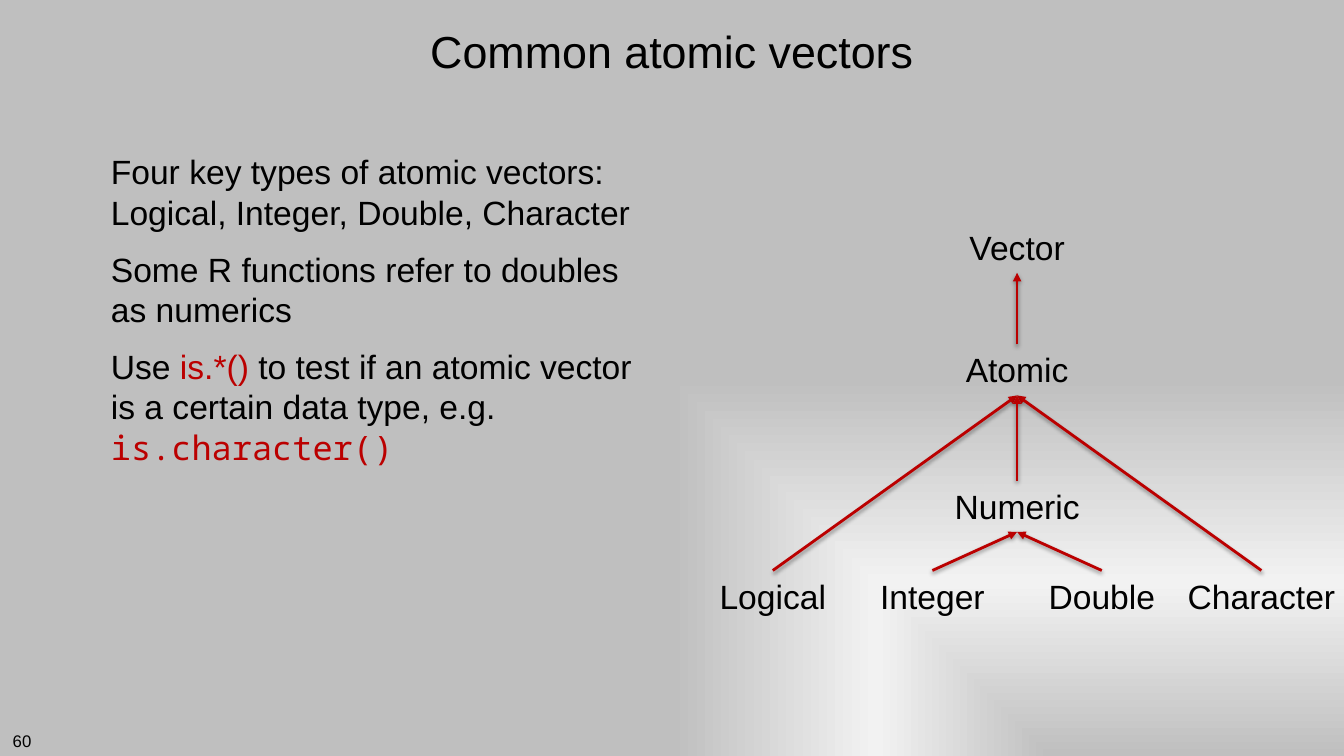
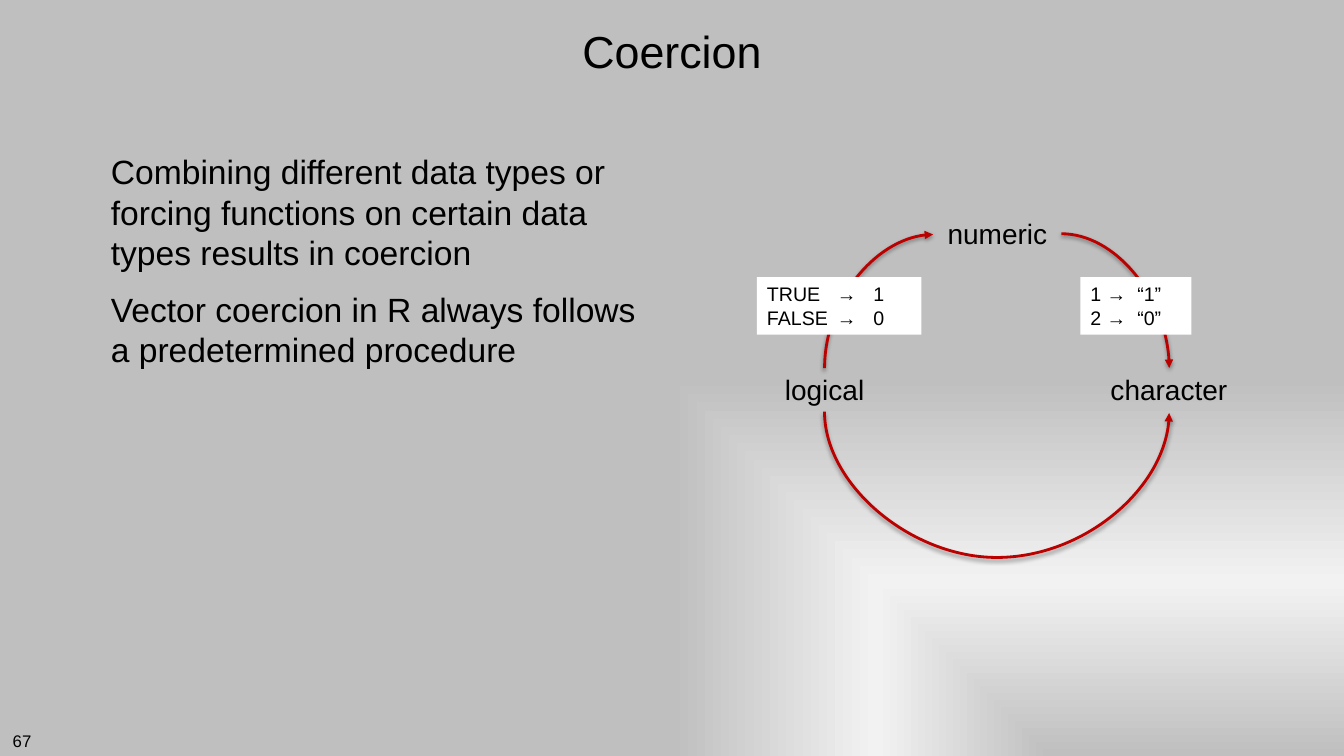
from lxml import etree
from pptx import Presentation
from pptx.dml.color import RGBColor
from pptx.enum.shapes import MSO_CONNECTOR, MSO_SHAPE
from pptx.enum.text import MSO_ANCHOR, MSO_AUTO_SIZE, PP_ALIGN
from pptx.oxml import parse_xml
from pptx.oxml.ns import nsdecls, qn
from pptx.util import Pt

STRAIGHT, CURVE = MSO_CONNECTOR.STRAIGHT, MSO_CONNECTOR.CURVE
RECTANGLE = MSO_SHAPE.RECTANGLE
TOP, MIDDLE = MSO_ANCHOR.TOP, MSO_ANCHOR.MIDDLE
NO_AUTOFIT = MSO_AUTO_SIZE.NONE
LEFT, CENTER, RIGHT = PP_ALIGN.LEFT, PP_ALIGN.CENTER, PP_ALIGN.RIGHT

COLORS = {"text": "000000", "accent": "BB0000", "box": "FFFFFF",
          "edge": "BFBFBF", "glow": "F2F2F2", "shadow": "000000"}
TEXT_FONT, CODE_FONT = "Arial", "Noto Sans Mono"


def format_text(text_frame, size, alignment):
    for paragraph in text_frame.paragraphs:
        paragraph.alignment = alignment
        for run in paragraph.runs:
            run.font.size = Pt(size)
            run.font.name = TEXT_FONT
            run.font.color.rgb = RGBColor.from_string(COLORS["text"])


def add_arrow(slide, kind, start, end):
    """Add a red connector with a soft shadow and an arrowhead at its end."""
    arrow = slide.shapes.add_connector(kind, *map(Pt, start + end))
    arrow.line.color.rgb = RGBColor.from_string(COLORS["accent"])
    arrow.line.width = Pt(2)
    properties = arrow.element.spPr
    etree.SubElement(properties.find(qn("a:ln")), qn("a:tailEnd"), type="triangle")
    properties.append(parse_xml(
        f'<a:effectLst {nsdecls("a")}><a:outerShdw blurRad="{Pt(3.1)}" dist="{Pt(1.6)}" '
        f'dir="5400000" rotWithShape="0"><a:srgbClr val="{COLORS["shadow"]}">'
        '<a:alpha val="38000"/></a:srgbClr></a:outerShdw></a:effectLst>'))
    return arrow


presentation = Presentation()
presentation.slide_width, presentation.slide_height = Pt(960), Pt(540)

# Shared background: a gradient spreading from the lower right corner
master = presentation.slide_master
master.background.fill.solid()
background = master.element.find(".//" + qn("p:bgPr"))
stops = "".join(
    f'<a:gs pos="{position * 1000}"><a:srgbClr val="{COLORS[name]}"/></a:gs>'
    for position, name in ((0, "edge"), (46, "glow"), (100, "edge")))
background.replace(background[0], parse_xml(
    f'<a:gradFill {nsdecls("a")} rotWithShape="1"><a:gsLst>{stops}</a:gsLst>'
    '<a:path path="rect"><a:fillToRect l="100000" t="100000"/></a:path></a:gradFill>'))

# Shared places of title and body
layout = presentation.slide_layouts[1]
for placeholder, place in zip(layout.placeholders,
                              ((72, 0, 816, 72), (62, 100.8, 403, 381.6))):
    (placeholder.left, placeholder.top,
     placeholder.width, placeholder.height) = map(Pt, place)

# Each body paragraph is a list of (text, colour, font) runs
CONTENT = [
    ("Common atomic vectors", "60", [
        [("Four key types of atomic vectors: Logical, Integer, Double, Character",
          "text", TEXT_FONT)],
        [("Some R functions refer to doubles as numerics", "text", TEXT_FONT)],
        [("Use ", "text", TEXT_FONT),
         ("is.*() ", "accent", TEXT_FONT),
         ("to test if an atomic vector is a certain data type, e.g. ", "text", TEXT_FONT),
         ("is.character()", "accent", CODE_FONT)],
    ]),
    ("Coercion", "67", [
        [("Combining different data types or forcing functions on certain data types "
          "results in coercion", "text", TEXT_FONT)],
        [("Vector coercion in R always follows a predetermined procedure",
          "text", TEXT_FONT)],
    ]),
]

# Each label is (text, centre, top, width)
TYPE_TOPS = {"Vector": (726.5, 158.4), "Atomic": (726.5, 246), "Numeric": (726.5, 343.5),
             "Logical": (552, 407.5), "Integer": (666, 407.5),
             "Double": (787, 407.5), "Character": (901, 407.5)}
LABEL_HEIGHT = 36.5
DIAGRAM_LABELS = [
    (24, LABEL_HEIGHT, [(name, *place, 121) for name, place in TYPE_TOPS.items()]),
    (20, 31.5, [("numeric", 712.5, 151.2, 91.5), ("character", 835, 262.8, 126),
                ("logical", 589, 262.8, 126)]),
]

for (title, number, body), (size, height, labels) in zip(CONTENT, DIAGRAM_LABELS):
    slide = presentation.slides.add_slide(layout)
    title_shape, body_shape = slide.placeholders
    title_shape.text_frame.text = title
    format_text(title_shape.text_frame, 32, CENTER)
    for shape, anchor in ((title_shape, MIDDLE), (body_shape, TOP)):
        text_frame = shape.text_frame
        text_frame.vertical_anchor = anchor
        text_frame.auto_size = NO_AUTOFIT
        text_frame.margin_left = text_frame.margin_right = Pt(7.2)
        text_frame.margin_top = text_frame.margin_bottom = Pt(7.2)

    text_frame = body_shape.text_frame
    for index, runs in enumerate(body):
        paragraph = text_frame.add_paragraph() if index else text_frame.paragraphs[0]
        properties = paragraph._p.get_or_add_pPr()
        properties.set("marL", str(Pt(10)))
        properties.set("indent", "0")
        etree.SubElement(properties, qn("a:buNone"))
        paragraph.space_before = Pt(12 if index else 0)
        paragraph.line_spacing = Pt(28.8)
        for text, color, font in runs:
            run = paragraph.add_run()
            run.text = text
            run.font.size = Pt(24)
            run.font.name = font
            run.font.color.rgb = RGBColor.from_string(COLORS[color])

    number_box = slide.shapes.add_textbox(Pt(0), Pt(518.4), Pt(29.5), Pt(21.6))
    number_box.text_frame.word_wrap = False
    number_box.text_frame.text = number
    format_text(number_box.text_frame, 12, RIGHT)

    for text, center, top, width in labels:
        label = slide.shapes.add_textbox(Pt(center - width / 2), Pt(top),
                                         Pt(width), Pt(height))
        label.text_frame.word_wrap = True
        label.text_frame.text = text
        format_text(label.text_frame, size, CENTER)

types_slide, coercion_slide = presentation.slides

# Type hierarchy: from the top of each type to the bottom of its parent
for child, parent in (("Integer", "Numeric"), ("Double", "Numeric"),
                      ("Character", "Atomic"), ("Logical", "Atomic"),
                      ("Numeric", "Atomic"), ("Atomic", "Vector")):
    center, top = TYPE_TOPS[parent]
    add_arrow(types_slide, STRAIGHT, TYPE_TOPS[child], (center, top + LABEL_HEIGHT))

# Coercion cycle: start, end, rotation, preset, adjustment of the unrotated curve
for start, end, rotation, preset, adjustment in (
        ((675.5, 254), (580, 176.5), 90, "curvedConnector2", None),
        ((758.2, 167), (835.2, 262.8), 0, "curvedConnector2", None),
        ((712.5, 171.4), (711.5, 417.6), 270, "curvedConnector3", 105)):
    arrow = add_arrow(coercion_slide, CURVE, start, end)
    properties = arrow.element.spPr
    properties.find(qn("a:xfrm")).set("rot", str(rotation * 60000))
    geometry = properties.find(qn("a:prstGeom"))
    geometry.set("prst", preset)
    if adjustment:
        etree.SubElement(geometry.find(qn("a:avLst")), qn("a:gd"),
                         name="adj1", fmla=f"val {adjustment * 100000}")

# Example conversions on the two upper curves
for left, width, tabs, lines in (
        (540.7, 117.4, (50, 76), "TRUE\t→\t1\nFALSE\t→\t0"),
        (771.8, 79.2, (33.5,), "1 →\t“1”\n2 →\t“0”")):
    box = coercion_slide.shapes.add_shape(RECTANGLE, Pt(left), Pt(198), Pt(width), Pt(41))
    box.shadow.inherit = False
    box.fill.solid()
    box.fill.fore_color.rgb = RGBColor.from_string(COLORS["box"])
    box.line.fill.background()
    box.text_frame.vertical_anchor = TOP
    box.text_frame.text = lines
    for paragraph in box.text_frame.paragraphs:
        tab_list = etree.SubElement(paragraph._p.get_or_add_pPr(), qn("a:tabLst"))
        for tab in tabs:
            etree.SubElement(tab_list, qn("a:tab"), pos=str(Pt(tab)), algn="l")
    format_text(box.text_frame, 14, LEFT)

presentation.save("out.pptx")
